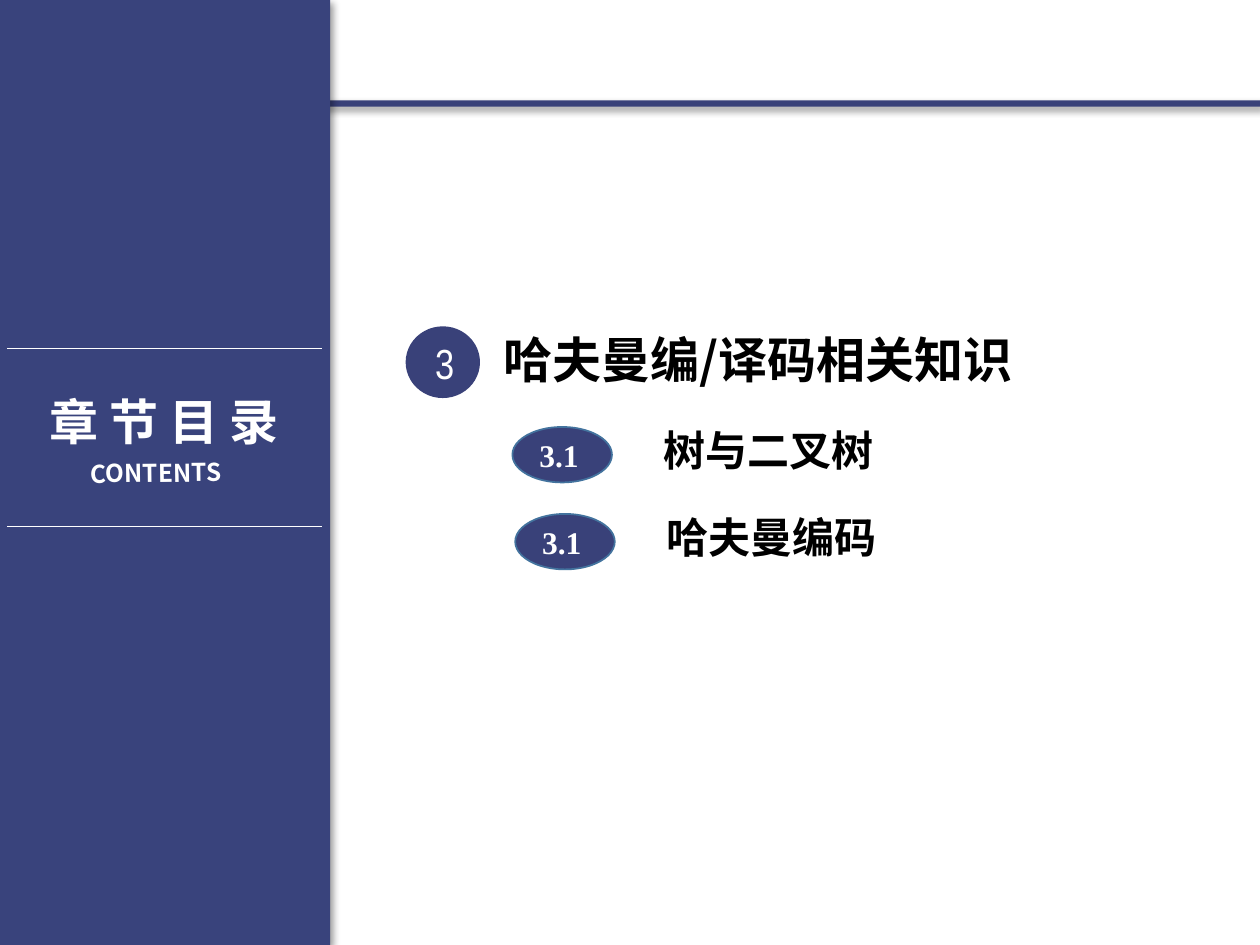
"""Build the chapter contents slide on Huffman coding."""
from lxml.etree import SubElement
from pptx import Presentation
from pptx.dml.color import RGBColor
from pptx.enum.shapes import MSO_CONNECTOR as CONN, MSO_SHAPE as SHAPE
from pptx.enum.text import MSO_ANCHOR as ANCHOR, PP_ALIGN as ALIGN
from pptx.oxml.ns import qn
from pptx.util import Pt

COLORS = {"panel": "39437C", "accent": "394179", "edge": "43739E",
          "white": "FFFFFF", "black": "000000"}
CJK, NARROW, SERIF = "Noto Sans CJK SC", "Arial Narrow", "Times New Roman"

WIDTH, HEIGHT = 720, 540
PANEL_TITLE, PANEL_SUBTITLE = "章 节 目 录", "CONTENTS"
CHAPTER = ("3", "哈夫曼编/译码相关知识")
SECTIONS = [("3.1", "树与二叉树", 158.4), ("3.1", "哈夫曼编码", 278)]
SECTION_LEFT, SECTION_TOP = 292.8, 244
ROW_STEP, ROW_SHIFT = 49.7, 1.6
RULES = (199.3, 301)


def rgb(name):
    return RGBColor.from_string(COLORS[name])


def add_shape(kind, box, fill, edge=None):
    sp = s.shapes.add_shape(kind, *map(Pt, box))
    sp.shadow.inherit = False
    sp.fill.solid()
    sp.fill.fore_color.rgb = rgb(fill)
    if edge:
        sp.line.color.rgb = rgb(edge)
        sp.line.width = Pt(1)
    else:
        sp.line.fill.background()
    return sp


def add_shadow(sp):
    effects = sp._element.spPr.find(qn("a:effectLst"))
    shadow = SubElement(effects, qn("a:outerShdw"), blurRad=str(Pt(4)), dist=str(Pt(3)),
                        dir=str(45 * 60000), algn="tl", rotWithShape="0")
    color = SubElement(shadow, qn("a:srgbClr"), val=COLORS["black"])
    SubElement(color, qn("a:alpha"), val="40000")


def add_rule(y):
    line = s.shapes.add_connector(CONN.STRAIGHT, Pt(4.3), Pt(y), Pt(184.3), Pt(y))
    line.line.color.rgb = rgb("white")
    line.line.width = Pt(0.5)
    SubElement(line._element.spPr, qn("a:effectLst"))


def set_text(sp, text, size, font, color, bold=True, align=ALIGN.LEFT,
             anchor=ANCHOR.TOP, wrap=True):
    tf = sp.text_frame
    tf.text = text
    tf.word_wrap = wrap
    tf.vertical_anchor = anchor
    p = tf.paragraphs[0]
    p.alignment = align
    r = p.runs[0]
    r.font.size, r.font.bold, r.font.name = Pt(size), bold, font
    r.font.color.rgb = rgb(color)
    SubElement(r.font._element, qn("a:ea"), typeface=font)


def add_text(box, *args, **kwargs):
    sp = s.shapes.add_textbox(*map(Pt, box))
    set_text(sp, *args, **kwargs)
    return sp


prs = Presentation()
prs.slide_width, prs.slide_height = Pt(WIDTH), Pt(HEIGHT)
s = prs.slides.add_slide(prs.slide_layouts[6])

add_shadow(add_shape(SHAPE.RECTANGLE, (-0.7, 57.3, WIDTH + 0.7, 3.6), "accent"))
add_shadow(add_shape(SHAPE.RECTANGLE, (-0.7, 0, 189.4, HEIGHT), "panel"))
for y in RULES:
    add_rule(y)
add_text((8.6, 220.3, 170.6, 41), PANEL_TITLE, 28, CJK, "white",
         align=ALIGN.CENTER, wrap=False)
subtitle = add_text((0.8, 255.6, 176.4, 28.8), PANEL_SUBTITLE, 14, CJK, "white",
                    align=ALIGN.CENTER, anchor=ANCHOR.MIDDLE)
subtitle.rotation = -0.7

number, title = CHAPTER
add_shape(SHAPE.OVAL, (231.8, 186.5, 42.5, 41), "accent")
add_text((234, 189.4, 40.3, 36), number, 24, NARROW, "white", bold=False,
         align=ALIGN.CENTER)
add_text((280.8, 185, 468.7, 41), title, 28, CJK, "black")

for i, (number, title, width) in enumerate(SECTIONS):
    x, y = SECTION_LEFT + i * ROW_SHIFT, SECTION_TOP + i * ROW_STEP
    badge = add_shape(SHAPE.OVAL, (x, y, 56.9, 31.7), "accent", "edge")
    set_text(badge, number, 18, SERIF, "white", anchor=ANCHOR.MIDDLE)
    add_text((x + 79.2, y - 5, width, 36), title, 24, CJK, "black")

prs.save("out.pptx")
